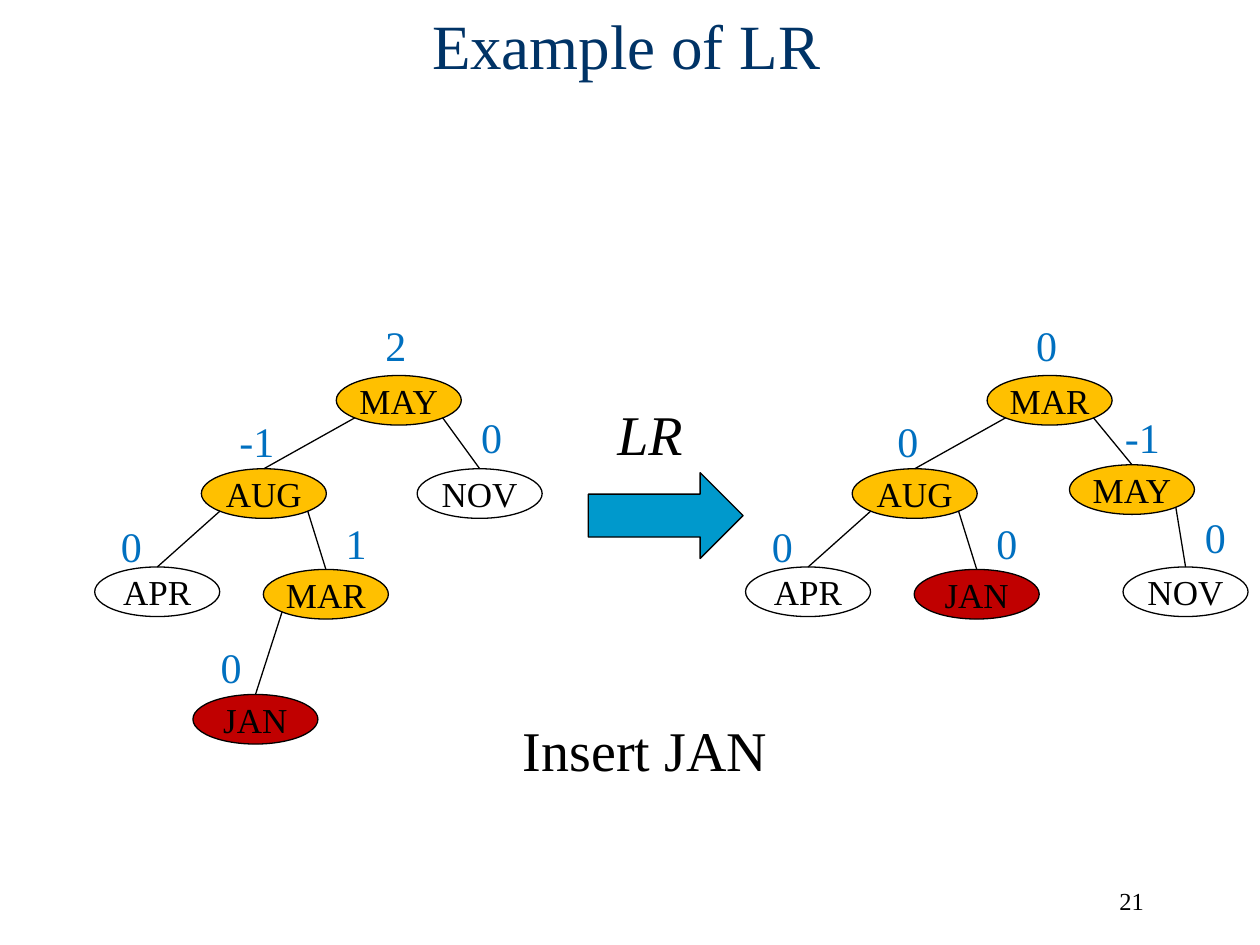
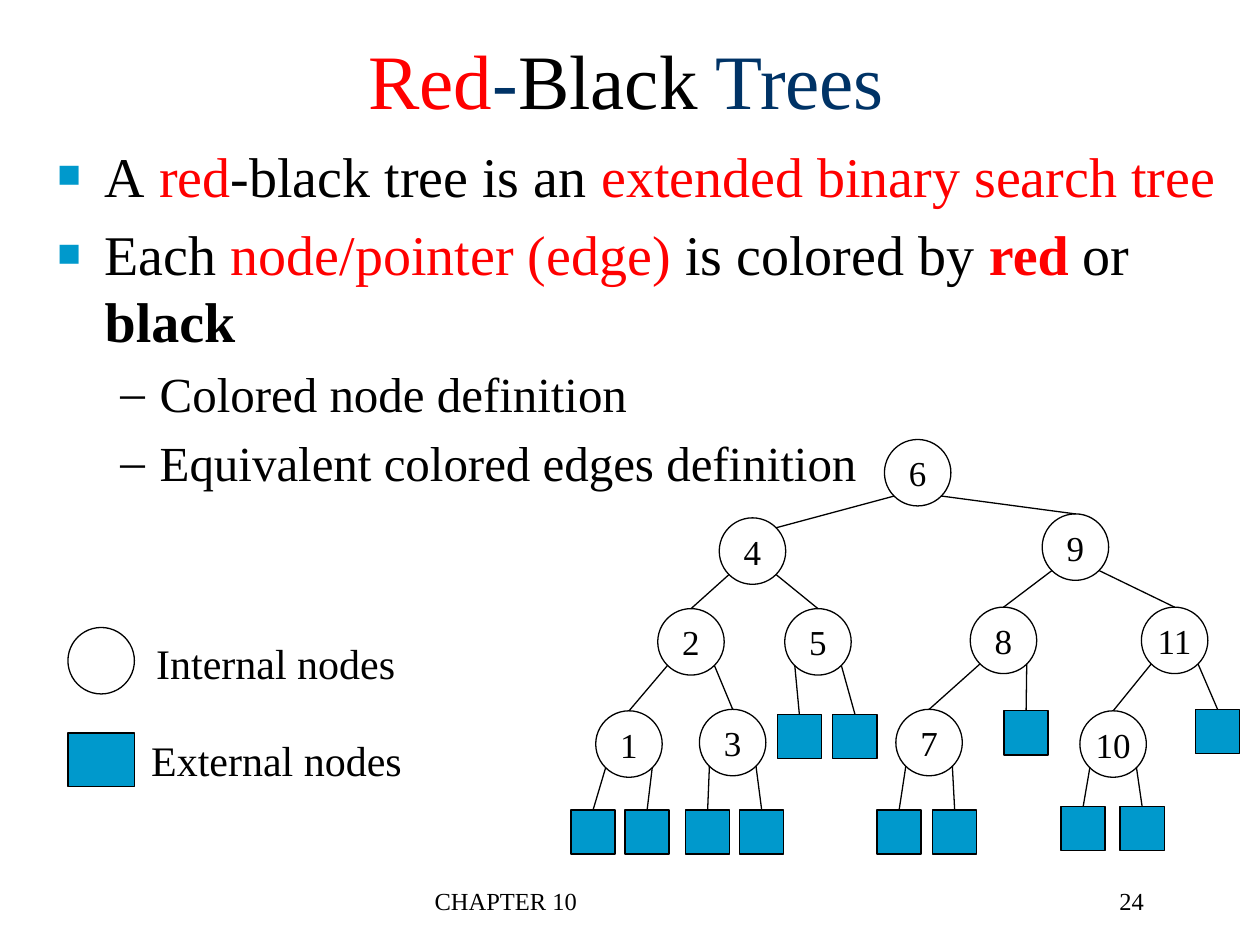
from dataclasses import dataclass
from typing import Any, NamedTuple, Optional

from lxml.etree import SubElement
from pptx import Presentation
from pptx.dml.color import RGBColor
from pptx.enum.shapes import MSO_CONNECTOR, MSO_SHAPE
from pptx.enum.text import MSO_ANCHOR, PP_ALIGN
from pptx.oxml.ns import qn
from pptx.slide import Slide
from pptx.util import Cm, Pt


@dataclass(frozen=True)
class Theme:
    font: str = "Times New Roman"
    ink: str = "000000"
    navy: str = "003366"
    blue: str = "0070C0"
    teal: str = "0099CC"
    red: str = "FF0000"
    gold: str = "FFC000"
    blood: str = "C00000"
    white: str = "FFFFFF"
    foot: float = 14
    node: float = 20
    note: float = 24
    sub: float = 28
    body: float = 32
    title: float = 36
    head: float = 44
    line: float = 0.75


class Box(NamedTuple):
    left: float
    top: float
    width: float
    height: float

    def spot(self, fx: float, fy: float) -> tuple[Cm, Cm]:
        return Cm(self.left + self.width * fx), Cm(self.top + self.height * fy)


class Run(NamedTuple):
    text: str
    color: str = "000000"
    bold: bool = False
    italic: bool = False


class Node(NamedTuple):
    name: str
    left: float
    top: float
    up: str = ""
    fill: Optional[str] = None
    tip: str = "top"


class Mark(NamedTuple):
    text: str
    mid: float
    top: float


class Level(NamedTuple):
    size: float
    left: float
    hang: float
    sign: str
    tint: str
    scale: int


T = Theme()
OVAL = (2.52, 1.0)
DISC = (1.34, 1.34)
LEAF = (0.89, 0.89)
SITES = {"top": (0.5, 0), "bl": (0.15, 0.85), "br": (0.85, 0.85), "tr": (0.85, 0.15)}
MAIN = Level(T.body, 0.95, 0.95, "■", T.teal, 70)
SIDE = Level(T.sub, 2.06, 0.79, "–", T.ink, 100)


def put(item: Any, **values: Any) -> None:
    for key, value in values.items():
        setattr(item, key, value)


def fill_in(par: Any, runs: list[Run], size: float) -> None:
    for part in runs:
        run = par.add_run()
        run.text = part.text
        put(run.font, name=T.font, size=Pt(size), bold=part.bold, italic=part.italic)
        put(run.font.color, rgb=RGBColor.from_string(part.color))


def label(shapes: Any, box: Box, runs: list[Run], size: float, **style: Any) -> None:
    frame = shapes.add_textbox(*map(Cm, box)).text_frame
    put(frame, **{"word_wrap": True, "vertical_anchor": MSO_ANCHOR.TOP} | style)
    par = frame.paragraphs[0]
    par.alignment = PP_ALIGN.CENTER
    fill_in(par, runs, size)


def block(shapes: Any, kind: MSO_SHAPE, box: Box, fill: Optional[str], text: str = "") -> None:
    shape = shapes.add_shape(kind, *map(Cm, box))
    shape.shadow.inherit = False
    if fill:
        shape.fill.solid()
        shape.fill.fore_color.rgb = RGBColor.from_string(fill)
    else:
        shape.fill.background()
    shape.line.width = Pt(T.line)
    shape.line.color.rgb = RGBColor.from_string(T.ink)
    if text:
        put(shape.text_frame, word_wrap=False, vertical_anchor=MSO_ANCHOR.MIDDLE)
        par = shape.text_frame.paragraphs[0]
        par.alignment = PP_ALIGN.CENTER
        fill_in(par, [Run(text)], T.node)


def edge(shapes: Any, high: Box, low: Box, tip: str) -> None:
    side = "bl" if low.left + low.width / 2 < high.left + high.width / 2 else "br"
    ends = *high.spot(*SITES[side]), *low.spot(*SITES[tip])
    line = shapes.add_connector(MSO_CONNECTOR.STRAIGHT, *ends)
    line.line.width = Pt(T.line)
    line.line.color.rgb = RGBColor.from_string(T.ink)
    SubElement(line._element.spPr, qn("a:effectLst"))


def tree(slide: Slide, nodes: list[Node], size: tuple[float, float],
         marks: Optional[list[Mark]] = None, shift: float = 0) -> None:
    shapes = slide.shapes.add_group_shape().shapes
    seen: dict[str, Box] = {}
    for node in nodes:
        box = Box(node.left + shift, node.top, *(size if node.name else LEAF))
        kind = MSO_SHAPE.OVAL if node.name else MSO_SHAPE.RECTANGLE
        block(shapes, kind, box, node.fill, node.name)
        if node.up:
            edge(shapes, seen[node.up], box, node.tip)
        seen[node.name] = box
    for mark in marks or []:
        box = Box(mark.mid + shift - 0.66, mark.top, 1.32, 1.27)
        label(shapes, box, [Run(mark.text, T.blue)], T.note)


def title(slide: Slide, top: float, runs: list[Run], size: float) -> None:
    box = Box(1.83, top, 21.59, 3.18)
    label(slide.shapes, box, runs, size, vertical_anchor=MSO_ANCHOR.MIDDLE)


def footer(slide: Slide, page: str, text: str = "") -> None:
    for word, left, width, align in ((text, 8.51, 8.05, PP_ALIGN.LEFT),
                                     (page, 18.03, 5.28, PP_ALIGN.RIGHT)):
        if word:
            frame = slide.shapes.add_textbox(Cm(left), Cm(17.73), Cm(width), Cm(1.27)).text_frame
            frame.word_wrap = True
            frame.paragraphs[0].alignment = align
            fill_in(frame.paragraphs[0], [Run(word)], T.foot)


def bullets(slide: Slide, box: Box, rows: list[tuple[Level, list[Run]]]) -> None:
    frame = slide.shapes.add_textbox(*map(Cm, box)).text_frame
    frame.word_wrap = True
    for num, (level, runs) in enumerate(rows):
        par = frame.add_paragraph() if num else frame.paragraphs[0]
        par.space_before = Pt(level.size * 0.2)
        fill_in(par, runs, level.size)
        props = par._p.get_or_add_pPr()
        props.set("marL", str(Cm(level.left)))
        props.set("indent", str(-Cm(level.hang)))
        tint = SubElement(props, qn("a:buClr"))
        SubElement(tint, qn("a:srgbClr"), val=level.tint)
        SubElement(props, qn("a:buSzPct"), val=str(level.scale * 1000))
        SubElement(props, qn("a:buFont"), typeface=T.font)
        SubElement(props, qn("a:buChar"), char=level.sign)


def rotate(slide: Slide) -> None:
    footer(slide, "21")
    title(slide, -0.69, [Run("Example of LR", T.navy)], T.title)
    block(slide.shapes, MSO_SHAPE.RIGHT_ARROW, Box(11.86, 9.53, 3.12, 1.73), T.teal)
    label(slide.shapes, Box(12.19, 7.92, 1.83, 1.63), [Run("LR", italic=True)],
          T.body, word_wrap=False)
    label(slide.shapes, Box(10.26, 14.3, 5.49, 1.63), [Run("Insert JAN")],
          T.body, word_wrap=False)
    before = [
        Node("MAY", 6.78, 7.57, fill=T.gold),
        Node("AUG", 4.06, 9.45, "MAY", T.gold),
        Node("NOV", 8.41, 9.45, "MAY"),
        Node("APR", 1.91, 11.43, "AUG"),
        Node("MAR", 5.31, 11.48, "AUG", T.gold),
        Node("JAN", 3.89, 14, "MAR", T.blood),
    ]
    after = [
        Node("MAR", 6.78, 7.57, fill=T.gold),
        Node("AUG", 4.06, 9.45, "MAR", T.gold),
        Node("MAY", 8.44, 9.37, "MAR", T.gold),
        Node("APR", 1.91, 11.43, "AUG"),
        Node("JAN", 5.31, 11.48, "AUG", T.blood),
        Node("NOV", 9.52, 11.43, "MAY"),
    ]
    spots = [(7.98, 6.32), (5.18, 8.26), (9.91, 8.18), (2.65, 10.36), (7.18, 10.31)]
    for nodes, signs, last, shift in (
        (before, ("2", "-1", "0", "0", "1", "0"), (4.66, 12.8), 0),
        (after, ("0", "0", "-1", "0", "0", "0"), (11.38, 10.19), 13.12),
    ):
        marks = [Mark(sign, *spot) for sign, spot in zip(signs, [*spots, last])]
        tree(slide, nodes, OVAL, marks, shift)


def colored(slide: Slide) -> None:
    footer(slide, "24", "CHAPTER 10")
    title(slide, 0, [Run("Red", T.red), Run("-", T.navy), Run("Black"),
                     Run(" Trees", T.navy)], T.head)
    bullets(slide, Box(0.91, 2.72, 23.9, 14.48), [
        (MAIN, [Run("A"), Run(" red", T.red), Run("-black tree is an "),
                Run("extended binary search tree", T.red)]),
        (MAIN, [Run("Each "), Run("node/pointer (edge) ", T.red), Run("is colored by "),
                Run("red", T.red, True), Run(" or "), Run("black", bold=True)]),
        (SIDE, [Run("Colored node definition")]),
        (SIDE, [Run("Equivalent colored edges definition")]),
    ])
    inner = [
        Node("6", 17.83, 8.86, fill=T.white),
        Node("4", 14.5, 10.44, "6", T.white, "tr"),
        Node("9", 21.01, 10.36, "6", T.white),
        Node("2", 13.26, 12.27, "4", T.white),
        Node("5", 15.82, 12.27, "4", T.white),
        Node("8", 19.56, 12.24, "9", T.white),
        Node("11", 23.01, 12.24, "9", T.white),
        Node("1", 12.01, 14.33, "2", T.white),
        Node("3", 14.1, 14.3, "2", T.white),
        Node("7", 18.06, 14.3, "8", T.white),
        Node("10", 21.77, 14.33, "11", T.white),
    ]
    outer = [Node("", left, top, up, T.teal) for up, top, lefts in (
        ("1", 16.33, (11.51, 12.6)),
        ("3", 16.33, (13.82, 14.91)),
        ("5", 14.4, (15.67, 16.79)),
        ("7", 16.33, (17.68, 18.8)),
        ("8", 14.33, (20.24,)),
        ("10", 16.26, (21.39, 22.58)),
        ("11", 14.3, (24.1,)),
    ) for left in lefts]
    tree(slide, inner + outer, DISC)
    block(slide.shapes, MSO_SHAPE.OVAL, Box(1.37, 12.65, *DISC), T.white)
    block(slide.shapes, MSO_SHAPE.RECTANGLE, Box(1.37, 14.78, 1.34, 1.07), T.teal)
    for text, box in (("Internal nodes", Box(2.87, 12.73, 5.38, 1.27)),
                      ("External nodes", Box(2.77, 14.68, 5.61, 1.27))):
        label(slide.shapes, box, [Run(text)], T.note, word_wrap=False)


def main() -> None:
    deck = Presentation()
    put(deck, slide_width=Cm(25.4), slide_height=Cm(19.05))
    for draw in (rotate, colored):
        draw(deck.slides.add_slide(deck.slide_layouts[6]))
    deck.save("out.pptx")


if __name__ == "__main__":
    main()
